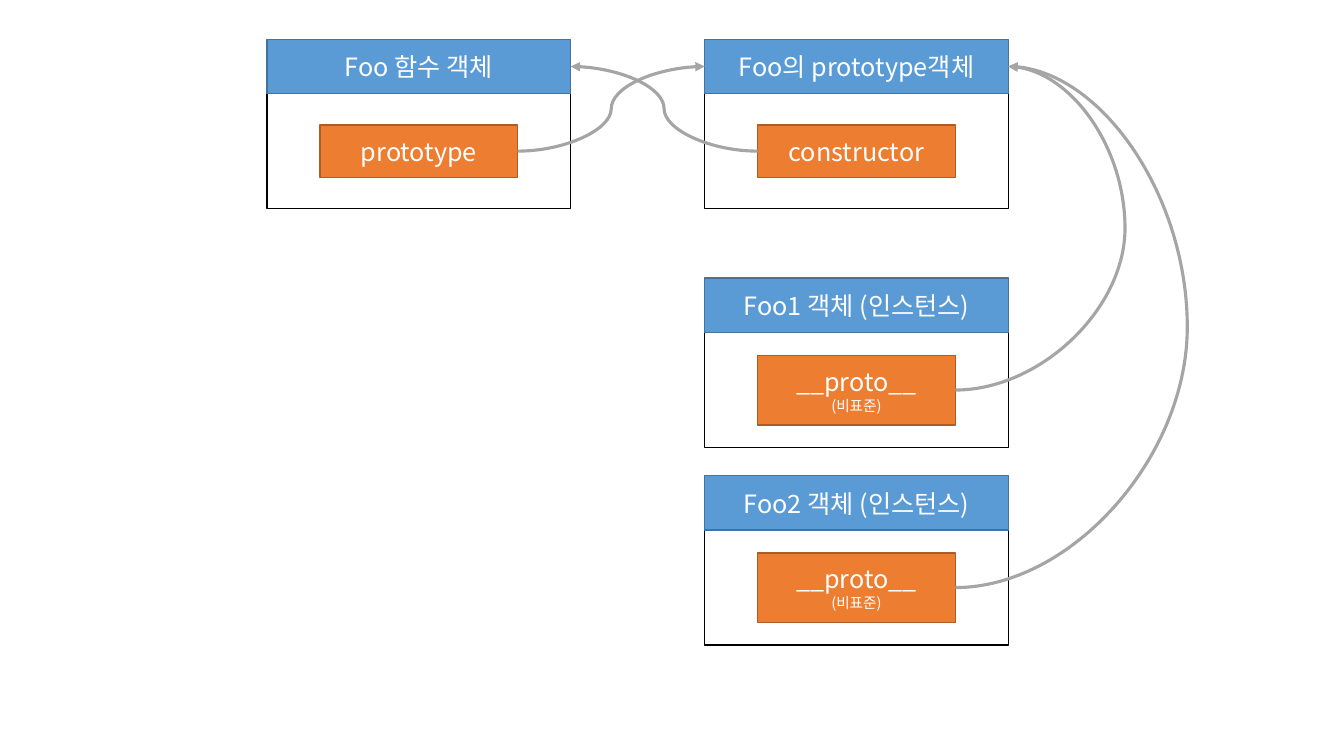
from pptx import Presentation
from pptx.dml.color import RGBColor
from pptx.enum import shapes, text
from pptx.oxml.ns import qn
from pptx.util import Inches, Pt
from lxml import etree

WHITE = RGBColor(255, 255, 255)
BLACK = RGBColor(0, 0, 0)
BLUE = RGBColor(0x5B, 0x9B, 0xD5)
NAVY = RGBColor(0x43, 0x73, 0x9E)
ORANGE = RGBColor(0xED, 0x7D, 0x31)
RUST = RGBColor(0xAF, 0x5C, 0x24)
GRAY = RGBColor(0xA5, 0xA5, 0xA5)
FONT = "Noto Sans CJK KR"

PROTO = [("__proto__", 18), ("(비표준)", 10.5)]
CARDS = {
    "func": (2.65, 0.39, "Foo 함수 객체", [("prototype", 18)]),
    "proto": (6.99, 0.39, "Foo의 prototype객체", [("constructor", 18)]),
    "foo1": (6.99, 2.76, "Foo1 객체 (인스턴스)", PROTO),
    "foo2": (6.99, 4.72, "Foo2 객체 (인스턴스)", PROTO),
}
LEFT, RIGHT = 1, 3
LINKS = [
    ("proto", LEFT, "func", RIGHT, None),
    ("func", RIGHT, "proto", LEFT, None),
    ("foo1", RIGHT, "proto", RIGHT, 3.205),
    ("foo2", RIGHT, "proto", RIGHT, 4.381),
]
WIDE, HEAD, BODY = 3.01, 0.54, 1.14
SLOT, ROW, PAD = 1.96, 0.52, 0.17

deck = Presentation()
deck.slide_width, deck.slide_height = Inches(13.33), Inches(7.5)
slide = deck.slides.add_slide(deck.slide_layouts[6])


def box(x, y, w, h, fill, edge, lines=()):
    item = slide.shapes.add_shape(
        shapes.MSO_SHAPE.RECTANGLE, *map(Inches, (x, y, w, h)))
    item.shadow.inherit = False
    item.fill.solid()
    item.fill.fore_color.rgb = fill
    item.line.color.rgb = edge
    item.line.width = Pt(1)
    frame = item.text_frame
    frame.vertical_anchor = text.MSO_ANCHOR.MIDDLE
    for i, (words, size) in enumerate(lines):
        para = frame.add_paragraph() if i else frame.paragraphs[0]
        para.alignment = text.PP_ALIGN.CENTER
        run = para.add_run()
        run.text = words
        for key, val in {"name": FONT, "size": Pt(size)}.items():
            setattr(run.font, key, val)
        run.font.color.rgb = WHITE
        etree.SubElement(run.font._element, qn("a:ea"), typeface=FONT)
    return item


def link(start, out, end, into, bend):
    line = slide.shapes.add_connector(shapes.MSO_CONNECTOR.CURVE, 0, 0, 0, 0)
    line.begin_connect(start, out)
    line.end_connect(end, into)
    line.line.color.rgb = GRAY
    line.line.width = Pt(2.25)
    props = line._element.spPr
    etree.SubElement(props.find(qn("a:ln")), qn("a:tailEnd"), type="triangle")
    etree.SubElement(props, qn("a:effectLst"))
    if bend:
        rule = props.find(qn("a:prstGeom")).find(qn("a:avLst"))
        etree.SubElement(rule, qn("a:gd"), name="adj1",
                         fmla=f"val {round(bend * 100000)}")


heads, slots = {}, {}
for name, (x, y, title, lines) in CARDS.items():
    top = y + HEAD
    tall = ROW + PAD * (len(lines) - 1)
    box(x, top, WIDE, BODY, WHITE, BLACK)
    heads[name] = box(x, y, WIDE, HEAD, BLUE, NAVY, [(title, 18)])
    slots[name] = box(x + (WIDE - SLOT) / 2, top + (BODY - tall) / 2,
                      SLOT, tall, ORANGE, RUST, lines)

for start, out, end, into, bend in LINKS:
    link(slots[start], out, heads[end], into, bend)

deck.save("out.pptx")
